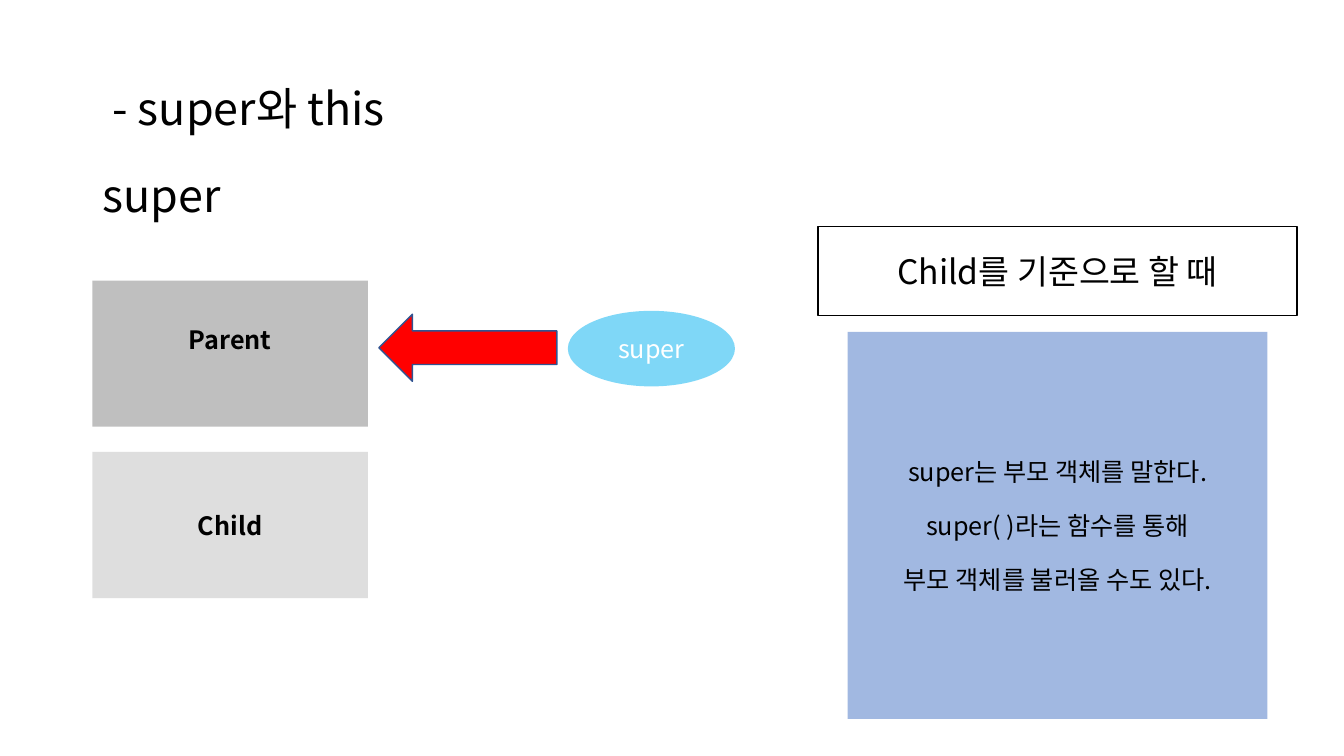
from lxml import etree
from pptx import Presentation
from pptx.dml.color import RGBColor
from pptx.enum.shapes import MSO_SHAPE as SHAPE
from pptx.enum.text import MSO_ANCHOR as ANCHOR, PP_ALIGN as ALIGN
from pptx.oxml.ns import qn
from pptx.util import Inches, Pt

FONT = "Noto Sans CJK KR"
CELL = Inches(1 / 12)  # the slide is a grid of 160 columns by 90 rows
BLACK, WHITE = "000000", "FFFFFF"


def color(value):
    return RGBColor.from_string(value)


def cells(*lengths):
    return [round(n * CELL) for n in lengths]


def write(sp, lines, size=18, ink=BLACK, bold=False, align=ALIGN.CENTER,
          anchor=ANCHOR.MIDDLE, gap=0, spacing=None):
    """Fill a shape with paragraphs set apart by gap points."""
    tf = sp.text_frame
    tf.word_wrap = True
    tf.vertical_anchor = anchor
    for i, line in enumerate(lines):
        p = tf.add_paragraph() if i else tf.paragraphs[0]
        p.text = line
        p.alignment = align
        p.line_spacing = spacing
        p.space_before = Pt(gap if i else 0)
        p.font.name, p.font.size, p.font.bold = FONT, Pt(size), bold
        p.font.color.rgb = color(ink)
        for r in p.runs:
            ea = etree.SubElement(r.font._element, qn("a:ea"))
            ea.set("typeface", FONT)
    return tf


def add_block(s, kind, box, fill, line=None, opacity=100):
    """Add a preset shape, translucent when opacity is below 100."""
    sp = s.shapes.add_shape(kind, *cells(*box))
    sp.shadow.inherit = False
    sp.fill.solid()
    sp.fill.fore_color.rgb = color(fill)
    if opacity < 100:
        clr = sp._element.spPr.find(f"{qn('a:solidFill')}/{qn('a:srgbClr')}")
        etree.SubElement(clr, qn("a:alpha")).set("val", str(opacity * 1000))
    if line:
        sp.line.color.rgb = color(line)
        sp.line.width = Pt(1)
    else:
        sp.line.fill.background()
    return sp


def main():
    prs = Presentation()
    prs.slide_width, prs.slide_height = cells(160, 90)
    s = prs.slides.add_slide(prs.slide_layouts[6])

    # Heading
    title = s.shapes.add_textbox(*cells(11, 6, 129.4, 21))
    write(title, [" - super와 this", "super"], size=32, align=ALIGN.LEFT,
          anchor=ANCHOR.BOTTOM, gap=27.6, spacing=0.9)

    # Class hierarchy
    for i, (name, fill) in enumerate([("Parent", "808080"), ("Child", "BFBFBF")]):
        sp = add_block(s, SHAPE.RECTANGLE, (11, 33.4 + 20.4 * i, 32.8, 17.4),
                       fill, opacity=50)
        tf = write(sp, [name], bold=True)
        if name == "Parent":
            tf.margin_bottom = Inches(0.34)

    # Explanation
    note = add_block(s, SHAPE.RECTANGLE, (100.9, 39.5, 50, 46.1), "4472C4", opacity=50)
    write(note, ["super는 부모 객체를 말한다.", "super( )라는 함수를 통해",
                 "부모 객체를 불러올 수도 있다."], gap=17)
    caption = add_block(s, SHAPE.RECTANGLE, (97.4, 27, 57, 10.6), WHITE, line=BLACK)
    write(caption, ["Child를 기준으로 할 때"], size=24)

    # Reference to the parent
    add_block(s, SHAPE.LEFT_ARROW, (45.1, 37.4, 21.2, 8), "FF0000", line="325491")
    label = add_block(s, SHAPE.OVAL, (67.6, 37, 19.9, 9), "00B0F0", opacity=50)
    write(label, ["super"], ink=WHITE)

    prs.save("out.pptx")


if __name__ == "__main__":
    main()
